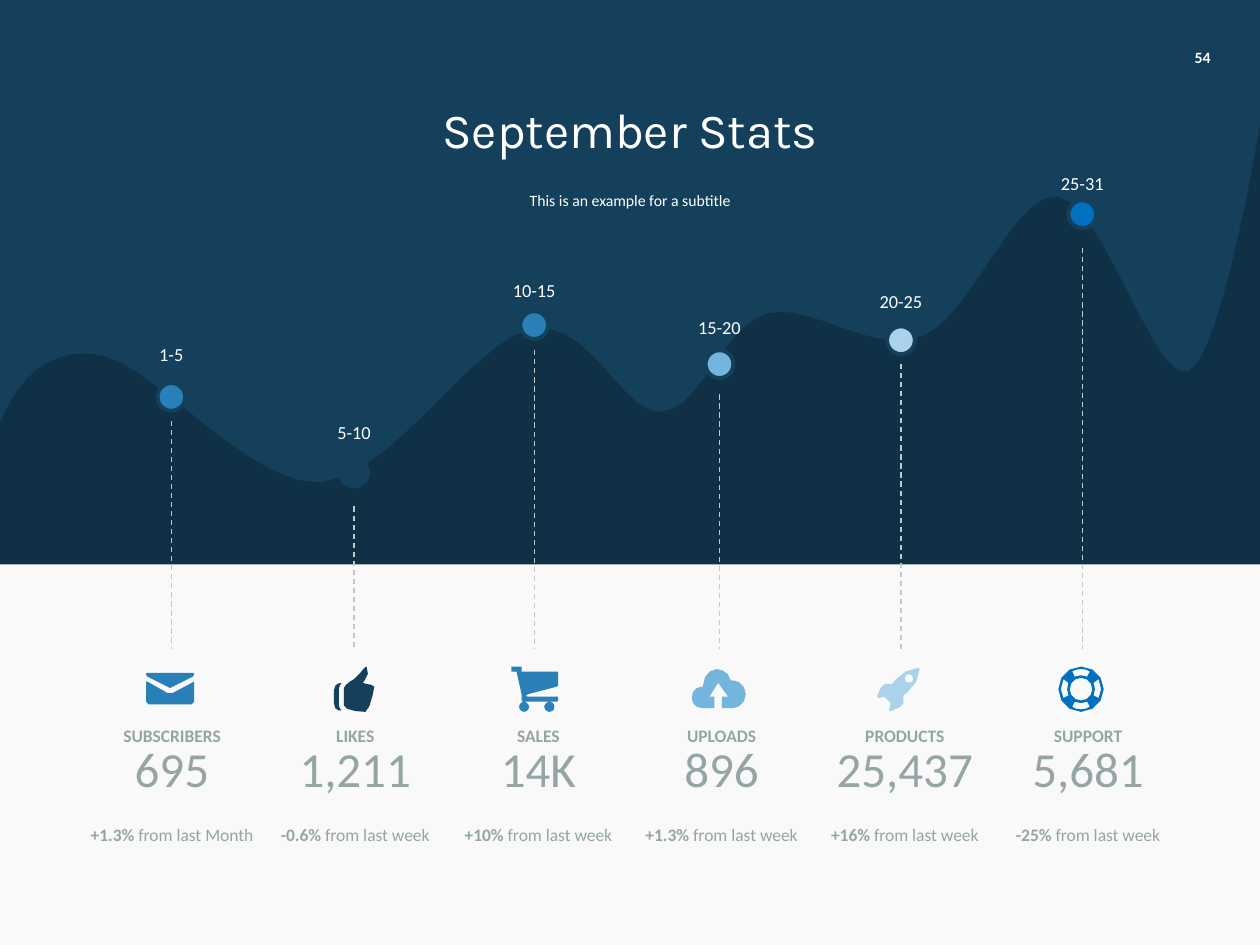
"""Build the September Stats slide on a grid of 100 columns by 75 rows."""
import collections
import lxml.etree
import pptx
import pptx.dml.color
import pptx.enum.dml
import pptx.enum.shapes
import pptx.enum.text
import pptx.oxml.ns
import pptx.util

RGBColor = pptx.dml.color.RGBColor
Shape = pptx.enum.shapes.MSO_SHAPE

NAVY = RGBColor(0x14, 0x40, 0x5C)
DEEP = RGBColor(0x15, 0x40, 0x5B)
WAVE = RGBColor(0x0F, 0x30, 0x45)
PAPER = RGBColor(0xF9, 0xF9, 0xF9)
WHITE = RGBColor(0xFF, 0xFF, 0xFF)
DASH = RGBColor(0xBF, 0xC9, 0xCA)
GRAY = RGBColor(0x95, 0xA5, 0xA6)
BLUE = RGBColor(0x29, 0x80, 0xB9)
STEEL = RGBColor(0x2A, 0x80, 0xB7)
SKY = RGBColor(0x74, 0xB5, 0xDE)
PALE = RGBColor(0xAB, 0xD2, 0xEB)
BRIGHT = RGBColor(0x00, 0x70, 0xC0)

COLUMNS, ROWS = 100, 75
CELL = pptx.util.Inches(0.1)
FIRST_STAT, STAT_PITCH = 13.65, 14.54
DOT = 2.2
ICON_TOP, ICON_SCALE = 52.8, 0.1
WAVE_STEPS, ICON_STEPS = 10, 3

WAVE_PATH = """M -0.1 33.8 C 1.3 30.3 3.7 27.4 8 28.2 C 12.2 28.9 19.8 38.6 25.4 38.3
C 31.1 37.9 37.6 27 42.2 26.1 C 46.7 25.2 49.4 32.9 52.5 32.7 C 55.6 32.5 57.4 25.9 60.8 24.9
C 64.3 23.9 69.3 28.3 73.2 26.7 C 77.1 25.2 80.5 15.1 84 15.6 C 87.5 16.1 91.7 30.6 94.3 29.5
C 97 28.5 100.1 9.3 100.1 9.3 C 100.1 15.5 116.8 39.9 100.1 46.6
C 83.3 53.4 16.2 51.8 -0.4 49.7 C -17.1 47.6 -1.5 37.4 -0.1 33.8 Z"""
MAIL = """M -19 9 L -3 17 L -1 18 L 1 17 L 17 9 C 18 8 19 6 17 6 L -19 6 C -21 6 -20 8 -19 9 Z
M 18 13 L 1 22 L -3 22 L -19 13 L -20 13 L -20 29 L -18 31 L 16 31 L 18 29 Z"""
THUMB = """M 7 14 C 7 13 14 7 10 1 C 9 0 5 7 0 11 C -2 12 -8 16 -8 18 L -8 32 C -8 35 1 37 9 37
C 12 37 16 20 16 17 C 16 15 7 15 7 14 Z M -10 14 C -12 14 -16 15 -16 20 L -16 30
C -16 36 -12 36 -10 36 C -9 36 -12 35 -12 32 L -12 19 C -12 15 -9 14 -10 14 Z"""
CART = """M -12 33 C -12 35 -10 37 -8 37 C -6 37 -4 35 -4 33 C -4 31 -6 29 -8 29 C -10 29 -12 31 -12 33 Z
M 8 33 C 8 35 10 37 12 37 C 15 37 16 35 16 33 C 16 31 15 29 12 29 C 10 29 8 31 8 33 Z
M -5 23 L 18 17 L 19 16 L 19 5 L -10 5 L -10 1 L -18 1 L -18 5 L -14 5 L -10 23 L -10 28 L -9 29
L 18 29 L 19 28 L 19 25 L -4 25 C -7 25 -7 24 -5 23 Z"""
CLOUD = """M 11 12 L 9 12 C 8 7 3 3 -2 3 C -8 3 -13 9 -13 16 L -13 17 L -14 17 C -19 17 -22 21 -22 26
C -22 30 -19 34 -14 34 L -4 34 L -4 25 L -8 25 L -1 14 L 7 25 L 2 25 L 2 34 L 11 34
C 16 34 21 29 21 23 C 21 17 16 12 11 12 Z"""
ROCKET = """M 2 24 C 2 24 16 14 15 3 L 14 2 C 3 1 -7 15 -7 15 C -15 14 -15 15 -19 25 L -17 26 L -13 25
L -8 30 L -9 34 C -10 36 -9 37 -7 36 C 2 32 3 33 2 24 Z
M 4 13 C 3 12 3 10 4 8 C 5 7 7 7 9 8 C 10 10 10 12 9 13 C 7 14 5 14 4 13 Z"""
BUOY = """M -1 1 C -11 1 -19 9 -19 19 C -19 29 -11 37 -1 37 C 9 37 17 29 17 19 C 17 9 9 1 -1 1 Z
M -1 3 L 3 3.5 L 6 5 L 4 9 L -1 8 L -6 9 L -8 5 L -5 3.5 Z
M -11 24 L -15 26 L -17 19 L -15 11 L -11 14 L -12 19 Z
M -1 35 L -5 34.5 L -8 33 L -6 29 L -1 30 L 4 29 L 6 33 L 3 34.5 Z
M -1 28 C -6 28 -10 24 -10 19 C -10 14 -6 10 -1 10 C 4 10 8 14 8 19 C 8 24 4 28 -1 28 Z
M 9 24 L 10 19 L 9 14 L 13 11 L 15 19 L 13 26 Z"""

Stat = collections.namedtuple(
    "Stat", "center dot_top line_top dates dates_top dates_width color icon "
    "name name_width value value_width change since note_width")
STATS = [
    Stat(13.6, 30.4, 33.4, "1-5", 27.2, 2.6, BLUE, MAIL,
         "SUBSCRIBERS", 10.5, "695", 8, "+1.3% ", "from last Month", 17.5),
    Stat(28.1, 36.4, 40.2, "5-10", 33.4, 3.6, DEEP, THUMB,
         "LIKES", 4.1, "1,211", 11.9, "-0.6% ", "from last week", 16),
    Stat(42.4, 24.7, 27.8, "10-15", 22.1, 4.6, STEEL, CART,
         "SALES", 4.6, "14K", 8, "+10% ", "from last week", 15.8),
    Stat(57.1, 27.8, 31.3, "15-20", 25.1, 4.6, SKY, CLOUD,
         "UPLOADS", 7.4, "896", 8, "+1.3% ", "from last week", 16.3),
    Stat(71.5, 25.9, 28.9, "20-25", 23, 4.6, PALE, ROCKET,
         "PRODUCTS", 8.5, "25,437", 14.6, "+16% ", "from last week", 15.8),
    Stat(85.9, 15.9, 19.7, "25-31", 13.6, 4.6, BRIGHT, BUOY,
         "SUPPORT", 7.3, "5,681", 11.9, "-25% ", "from last week", 15.5)]


def cells(*counts):
    """Turn grid counts into slide lengths."""
    return [round(count * CELL) for count in counts]


def paint(shape, fill):
    """Give a shape a flat fill without an outline."""
    shape.shadow.inherit = False
    shape.fill.solid()
    shape.fill.fore_color.rgb = fill
    shape.line.fill.background()
    return shape


def add_block(page, kind, place, fill):
    """Add a painted preset shape."""
    return paint(page.shapes.add_shape(kind, *cells(*place)), fill)


def add_text(page, center, top, width, height, spans, size, color, font="Calibri"):
    """Add one centred line of (text, bold) spans around a column."""
    frame = page.shapes.add_textbox(*cells(center - width / 2, top, width, height)).text_frame
    frame.word_wrap = True
    frame.vertical_anchor = pptx.enum.text.MSO_ANCHOR.MIDDLE
    frame.margin_left = frame.margin_right = frame.margin_top = frame.margin_bottom = 0
    para = frame.paragraphs[0]
    para.alignment = pptx.enum.text.PP_ALIGN.CENTER
    for text, bold in spans:
        span = para.add_run()
        span.text = text
        span.font.name, span.font.bold = font, bold
        span.font.size = pptx.util.Pt(size)
        span.font.color.rgb = color


def curve_points(corners, steps):
    """Return points along a cubic curve, without its start."""
    shares = [step / steps for step in range(1, steps + 1)]
    return [tuple((1 - t) ** 3 * a + 3 * (1 - t) ** 2 * t * b + 3 * (1 - t) * t ** 2 * c + t ** 3 * d
                  for a, b, c, d in zip(*corners)) for t in shares]


def add_outline(page, outline, fill, steps, left=0, top=0, scale=1):
    """Add a freeform drawn from M, L, C and Z commands."""
    builder = None
    for contour in outline.split("Z")[:-1]:
        points = []
        for part in contour.replace("M", "").replace("C", "L").split("L"):
            numbers = [float(number) * scale for number in part.split()]
            pairs = [(left + x, top + y) for x, y in zip(numbers[::2], numbers[1::2])]
            points += curve_points([points[-1], *pairs], steps) if len(pairs) == 3 else pairs
        start, *rest = [cells(*point) for point in points]
        if builder is None:
            builder = page.shapes.build_freeform(*start, scale=1.0)
        else:
            builder.move_to(*start)
        builder.add_line_segments(rest, close=True)
    paint(builder.convert_to_shape(), fill)


def add_dashes(page, center, top, bottom):
    """Add a dashed vertical line."""
    line = page.shapes.add_connector(
        pptx.enum.shapes.MSO_CONNECTOR.STRAIGHT, *cells(center, top, center, bottom))
    line.line.color.rgb = DASH
    line.line.width = pptx.util.Pt(0.75)
    line.line.dash_style = pptx.enum.dml.MSO_LINE.DASH
    lxml.etree.SubElement(line._element.spPr, pptx.oxml.ns.qn("a:effectLst"))


def add_header(page):
    """Add the page number, title and subtitle."""
    badge = add_block(page, Shape.PENTAGON, (94.2, 3.5, 2.5, 2.5), DEEP)
    badge.rotation, badge.adjustments[0] = 90, 0.26
    add_text(page, 95.45, 3.6, 3.3, 1.9, [("54", True)], 9, WHITE)
    add_text(page, COLUMNS / 2, 8.1, 90, 4.3, [("September Stats", False)], 28, WHITE, "Karla")
    add_text(page, COLUMNS / 2, 14.9, 90, 1.9, [("This is an example for a subtitle", False)], 9, WHITE)
    add_block(page, Shape.RECTANGLE, (COLUMNS / 2 - 2.5, 13.6, 5, 0.3), DEEP)


def add_stat(page, column, stat):
    """Add one marker on the wave and its column of figures."""
    dot = add_block(page, Shape.OVAL, (stat.center - DOT / 2, stat.dot_top, DOT, DOT), stat.color)
    dot.line.color.rgb, dot.line.width = NAVY, pptx.util.Pt(2.25)
    add_text(page, stat.center, stat.dates_top, stat.dates_width, 1.8, [(stat.dates, False)], 10.5, WHITE)
    add_text(page, column, 65.4, stat.note_width, 1.7, [(stat.change, True), (stat.since, False)], 10, GRAY)
    add_text(page, column, 58.6, stat.value_width, 4.7, [(stat.value, False)], 28, GRAY)
    add_text(page, column, 57.5, stat.name_width, 1.7, [(stat.name, True)], 10, GRAY)
    add_outline(page, stat.icon, stat.color, ICON_STEPS, stat.center, ICON_TOP, ICON_SCALE)


def main():
    """Build and save the slide."""
    deck = pptx.Presentation()
    deck.slide_width, deck.slide_height = cells(COLUMNS, ROWS)
    page = deck.slides.add_slide(deck.slide_layouts[6])
    page.background.fill.solid()
    page.background.fill.fore_color.rgb = NAVY
    add_header(page)
    add_outline(page, WAVE_PATH, WAVE, WAVE_STEPS)
    add_block(page, Shape.RECTANGLE, (0, 44.8, COLUMNS, 33.5), PAPER)
    for index, stat in enumerate(STATS):
        add_dashes(page, stat.center, stat.line_top, 51.5)
        add_stat(page, FIRST_STAT + index * STAT_PITCH, stat)
    deck.save("out.pptx")


if __name__ == "__main__":
    main()
